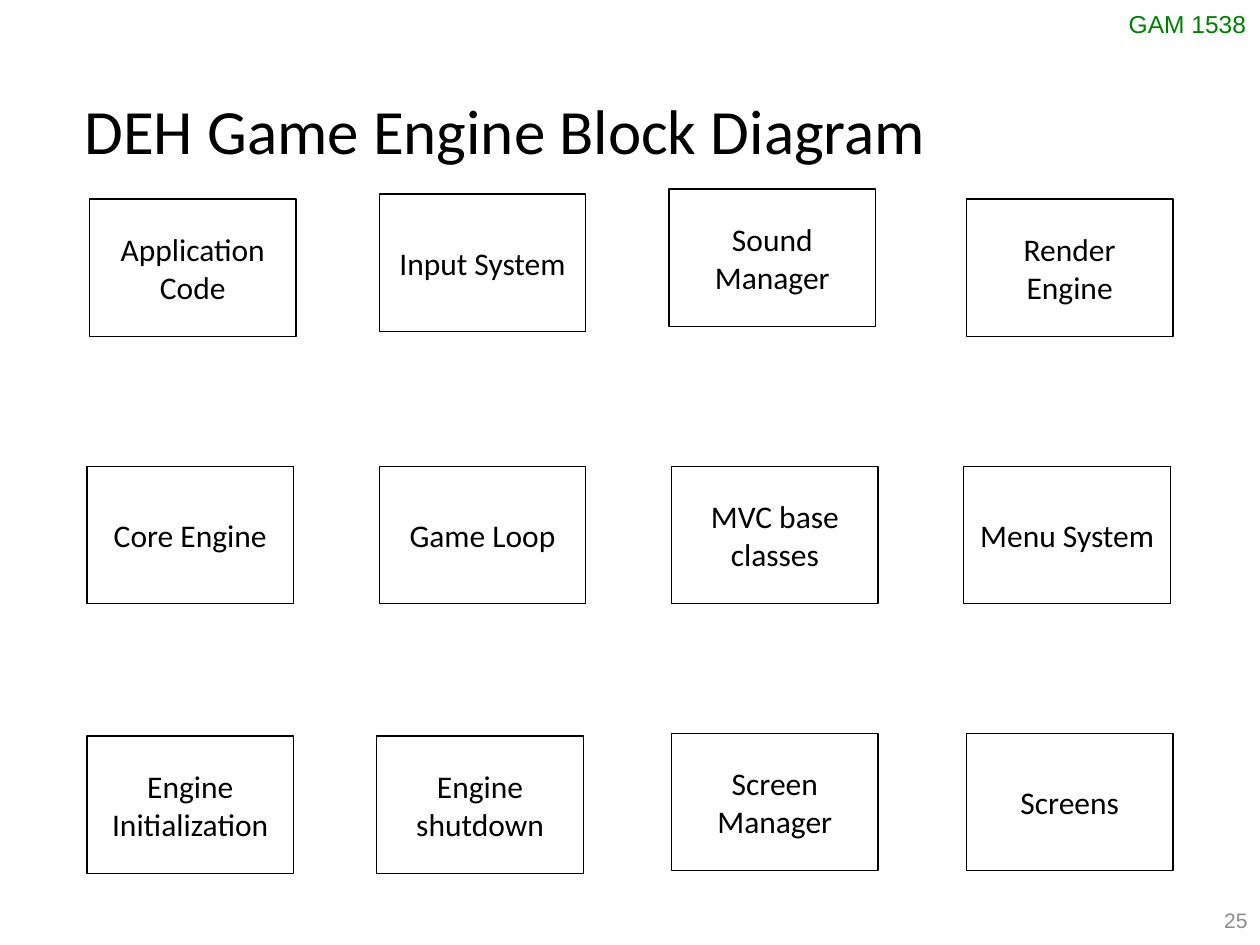
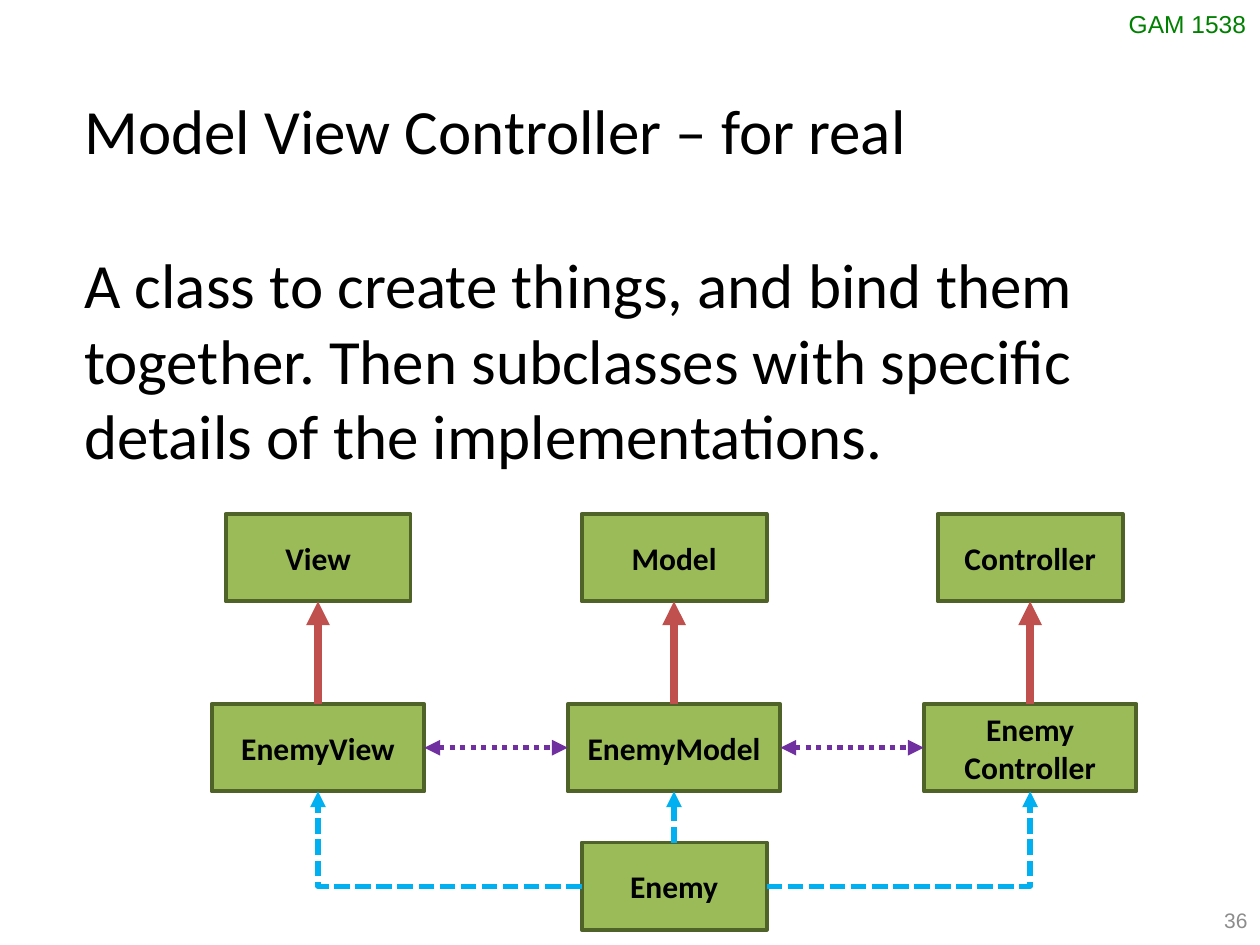
import pptx
import pptx.util
import pptx.dml.color
import pptx.enum.dml
import pptx.enum.shapes
import pptx.enum.text
import pptx.oxml.ns
from lxml import etree

Inches, Pt = pptx.util.Inches, pptx.util.Pt
RGBColor = pptx.dml.color.RGBColor
ALIGN, ANCHOR = pptx.enum.text.PP_ALIGN, pptx.enum.text.MSO_ANCHOR
LINE = pptx.enum.dml.MSO_LINE
CONNECTOR = pptx.enum.shapes.MSO_CONNECTOR
qn = pptx.oxml.ns.qn

BLACK = RGBColor(0x00, 0x00, 0x00)
WHITE = RGBColor(0xFF, 0xFF, 0xFF)
GREEN = RGBColor(0x00, 0x80, 0x00)
GREY = RGBColor(0x8C, 0x8C, 0x8C)
OLIVE = RGBColor(0x9B, 0xBB, 0x59)
DARK_OLIVE = RGBColor(0x4F, 0x62, 0x28)
RED = RGBColor(0xC0, 0x50, 0x4D)
PURPLE = RGBColor(0x70, 0x30, 0xA0)
CYAN = RGBColor(0x00, 0xB0, 0xF0)

TOP, LEFT, BOTTOM, RIGHT = range(4)

# Boxes shared by the slides: left, top, width, height in inches
TITLE_BOX = (0.57, 0.68, 8.87, 0.71)
BODY_BOX = (0.57, 1.9, 8.87, 1.91)
TAG_BOX = (8.86, 0.02, 1.14, 0.34)
NUMBER_BOX = (7.67, 7.1, 2.33, 0.4)

# Each block: label, nudge right, nudge down (inches off the grid)
BLOCKS = [
    [("Application Code", 0.02, 0), ("Input System", 0, -0.04),
     ("Sound Manager", -0.02, -0.08), ("Render\nEngine", 0.02, 0)],
    [("Core Engine", 0, 0), ("Game Loop", 0, 0),
     ("MVC base classes", 0, 0), ("Menu System", 0, 0)],
    [("Engine Initialization", 0, 0.02), ("Engine shutdown", -0.02, 0.02),
     ("Screen Manager", 0, 0), ("Screens", 0.02, 0)],
]


def write(shape, text, size, color=BLACK, font="Calibri", bold=False,
          align=ALIGN.LEFT, anchor=ANCHOR.TOP, wrap=True):
    tf = shape.text_frame
    tf.text = text
    tf.word_wrap = wrap
    tf.auto_size = pptx.enum.text.MSO_AUTO_SIZE.NONE
    tf.vertical_anchor = anchor
    for p in tf.paragraphs:
        p.alignment = align
        p.font.name, p.font.size, p.font.bold = font, Pt(size), bold
        p.font.color.rgb = color


def add_text(slide, box, text, size, **style):
    write(slide.shapes.add_textbox(*map(Inches, box)), text, size, **style)


def add_block(slide, box, label, fill=WHITE, line=BLACK, width=0.75, bold=False):
    sp = slide.shapes.add_shape(
        pptx.enum.shapes.MSO_SHAPE.RECTANGLE, *map(Inches, box))
    sp.shadow.inherit = False
    sp.fill.solid()
    sp.fill.fore_color.rgb = fill
    sp.line.color.rgb = line
    sp.line.width = Pt(width)
    write(sp, label, 18, bold=bold, align=ALIGN.CENTER, anchor=ANCHOR.MIDDLE)
    return sp


def side_point(sp, side):
    across, down = {TOP: (0.5, 0), LEFT: (0, 0.5),
                    BOTTOM: (0.5, 1), RIGHT: (1, 0.5)}[side]
    return int(sp.left + across * sp.width), int(sp.top + down * sp.height)


def add_arrow(slide, start, start_side, end, end_side, color, width,
              dash=None, ends=("tailEnd",), bent=False):
    kind = CONNECTOR.ELBOW if bent else CONNECTOR.STRAIGHT
    line = slide.shapes.add_connector(
        kind, *side_point(start, start_side), *side_point(end, end_side))
    properties = line._element.spPr
    if bent:
        # A single corner: across first, then up
        properties.find(qn("a:prstGeom")).set("prst", "bentConnector2")
    else:
        line.begin_connect(start, start_side)
        line.end_connect(end, end_side)
    line.line.color.rgb = color
    line.line.width = Pt(width)
    if dash:
        line.line.dash_style = dash
    for tag in ends:
        etree.SubElement(properties.find(qn("a:ln")), qn("a:" + tag),
                         type="triangle")
    etree.SubElement(properties, qn("a:effectLst"))


def add_titled_slide(prs, title, number):
    slide = prs.slides.add_slide(prs.slide_layouts[5])
    sp = slide.shapes.title
    sp.left, sp.top, sp.width, sp.height = map(Inches, TITLE_BOX)
    write(sp, title, 36)
    # Course tag and slide number
    add_text(slide, TAG_BOX, "GAM 1538", 14, color=GREEN, font="Arial", wrap=False)
    add_text(slide, NUMBER_BOX, str(number), 12, color=GREY, font="Arial",
             align=ALIGN.RIGHT, anchor=ANCHOR.MIDDLE)
    return slide


def add_block_grid(slide, box, rows, block_w=1.64, block_h=1.09):
    left, top, width, height = box
    col_step = (width - block_w) / (len(rows[0]) - 1)
    row_step = (height - block_h) / (len(rows) - 1)
    for row, blocks in enumerate(rows):
        for col, (label, dx, dy) in enumerate(blocks):
            add_block(slide, (left + col * col_step + dx,
                              top + row * row_step + dy, block_w, block_h), label)


def add_class_diagram(slide, box):
    left, top, width, height = box
    narrow, wide = 0.2 * width, 0.23 * width
    col_step = (width - wide) / 2

    def add_class(label, col, row_share, class_w):
        center = left + wide / 2 + col * col_step
        return add_block(slide, (center - class_w / 2, top + row_share * height,
                                 class_w, 0.21 * height),
                         label, OLIVE, DARK_OLIVE, 2.25, bold=True)

    # Base classes, their subclasses, and the class that binds them
    bases = [add_class(label, col, 0, narrow)
             for col, label in enumerate(["View", "Model", "Controller"])]
    subclasses = [add_class(label, col, 0.457, wide) for col, label in
                  enumerate(["EnemyView", "EnemyModel", "Enemy\vController"])]
    enemy = add_class("Enemy", 1, 0.79, narrow)

    # Inheritance
    for subclass, base in zip(subclasses, bases):
        add_arrow(slide, subclass, TOP, base, BOTTOM, RED, 4.5)
    # Links between neighbouring subclasses
    for first, second in zip(subclasses, subclasses[1:]):
        add_arrow(slide, first, RIGHT, second, LEFT, PURPLE, 3,
                  LINE.ROUND_DOT, ("headEnd", "tailEnd"))
    # Creation
    for subclass, side in zip(subclasses, (LEFT, TOP, RIGHT)):
        add_arrow(slide, enemy, side, subclass, BOTTOM, CYAN, 3,
                  LINE.SQUARE_DOT, bent=side != TOP)


def main():
    prs = pptx.Presentation()
    prs.slide_width, prs.slide_height = Inches(10), Inches(7.5)

    slide = add_titled_slide(prs, "DEH Game Engine Block Diagram", 25)
    add_block_grid(slide, (0.69, 1.58, 8.6, 5.33), BLOCKS)

    slide = add_titled_slide(prs, "Model View Controller – for real", 36)
    add_text(slide, BODY_BOX,
             "A class to create things, and bind them together. Then subclasses "
             "with specific details of the implementations.", 36)
    add_class_diagram(slide, (1.68, 4.08, 7.34, 3.3))

    prs.save("out.pptx")


if __name__ == "__main__":
    main()
